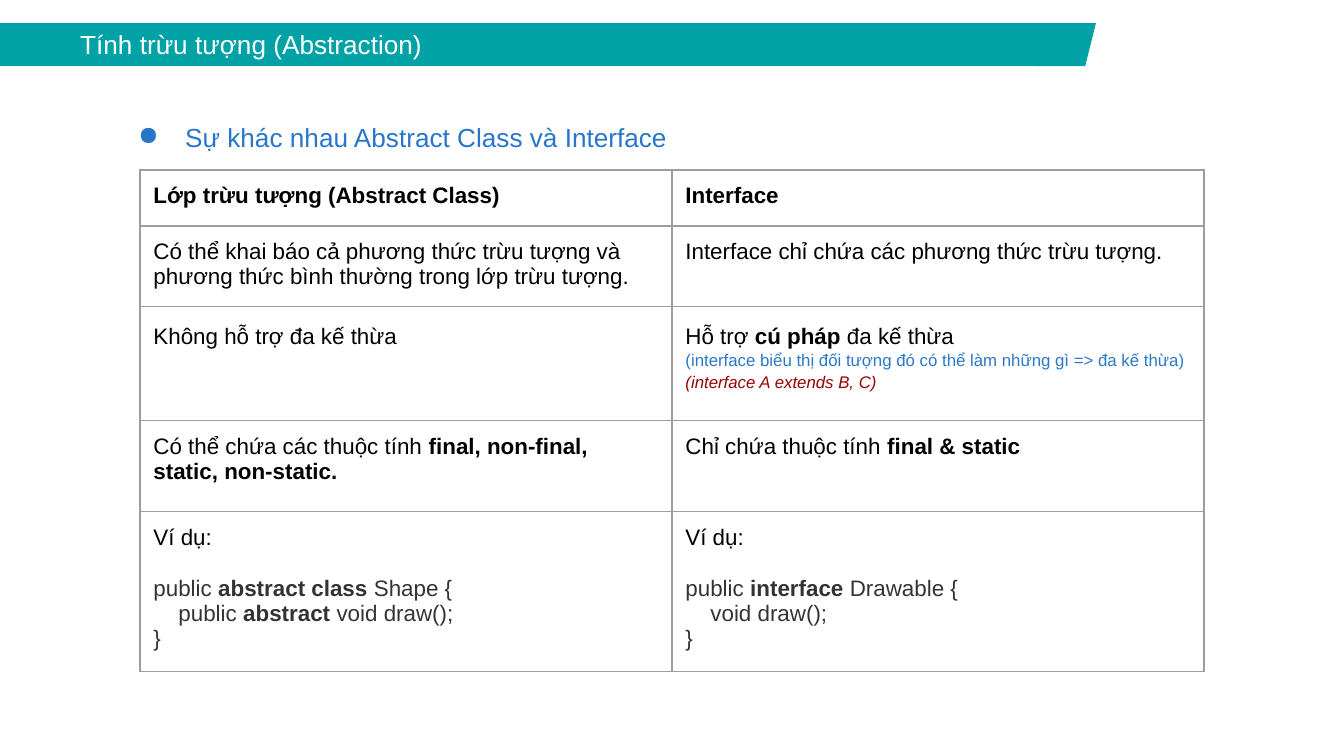
from lxml.etree import SubElement
from pptx import Presentation
from pptx.dml.color import RGBColor
from pptx.enum.shapes import MSO_SHAPE
from pptx.enum.text import MSO_ANCHOR, PP_ALIGN
from pptx.oxml.ns import qn
from pptx.util import Inches, Pt

TEAL = RGBColor(0x01, 0xA2, 0xA6)
WHITE = RGBColor(0xFF, 0xFF, 0xFF)
BLACK = RGBColor(0x00, 0x00, 0x00)
BLUE = RGBColor(0x28, 0x76, 0xC9)
NOTE_BLUE = RGBColor(0x2A, 0x78, 0xCA)
RED = RGBColor(0x98, 0x00, 0x00)
CODE_GRAY = RGBColor(0x33, 0x33, 0x33)
BORDER = RGBColor(0x9E, 0x9E, 0x9E)

FONT = "Arial"
TITLE = "Tính trừu tượng (Abstraction)"
HEADING = "Sự khác nhau Abstract Class và Interface"

STYLES = {
    "plain": dict(),
    "loose": dict(line=1.15),
    "note": dict(line=1.15, size=9, color=NOTE_BLUE),
    "example": dict(line=1.15, size=9, color=RED, italic=True),
    "code start": dict(color=CODE_GRAY, before=13.8),
    "code": dict(color=CODE_GRAY),
    "code body": dict(color=CODE_GRAY, indent=25),
}

# Each paragraph is a style followed by runs; runs alternate regular and bold.
ROWS = [
    (56, [("plain", "", "Lớp trừu tượng (Abstract Class)")],
         [("plain", "", "Interface")]),
    (77, [("plain", "Có thể khai báo cả phương thức trừu tượng và "
           "phương thức bình thường trong lớp trừu tượng.")],
         [("plain", "Interface chỉ chứa các phương thức trừu tượng.")]),
    (114, [("loose", "Không hỗ trợ đa kế thừa")],
          [("loose", "Hỗ trợ ", "cú pháp", " đa kế thừa"),
           ("note", "(interface biểu thị đối tượng đó có thể làm những gì => đa kế thừa)"),
           ("example", "(interface A extends B, C)")]),
    (91, [("plain", "Có thể chứa các thuộc tính ", "final, non-final, static, non-static.")],
         [("plain", "Chỉ chứa thuộc tính ", "final & static")]),
    (152, [("plain", "Ví dụ:"),
           ("code start", "public ", "abstract class ", "Shape {"),
           ("code body", "public ", "abstract ", "void draw();"),
           ("code", "}")],
          [("plain", "Ví dụ:"),
           ("code start", "public ", "interface ", "Drawable {"),
           ("code body", "void draw();"),
           ("code", "}")]),
]


def px(value):
    return round(value * 914400 / 134.4)


def add_run(para, text, size, color, bold=False, italic=False):
    span = para.add_run()
    span.text = text
    font = span.font
    font.name, font.size, font.bold, font.italic = FONT, Pt(size), bold, italic
    font.color.rgb = color


def set_margins(target):
    target.margin_left = target.margin_right = Inches(0.1)
    target.margin_top = target.margin_bottom = Inches(0.1)


def set_indent(para, left, first):
    properties = para._p.get_or_add_pPr()
    properties.set("marL", str(px(left)))
    properties.set("indent", str(px(first)))
    return properties


def add_band(page, kind, left, width):
    band = page.shapes.add_shape(kind, px(left), px(23), px(width), px(43))
    band.shadow.inherit = False
    band.fill.solid()
    band.fill.fore_color.rgb = TEAL
    band.line.fill.background()
    return band


def fill_cell(cell, paragraphs):
    set_margins(cell)
    frame = cell.text_frame
    for index, (style_name, *runs) in enumerate(paragraphs):
        style = STYLES[style_name]
        para = frame.add_paragraph() if index else frame.paragraphs[0]
        para.line_spacing = style.get("line", 1.0)
        para.space_before = Pt(style.get("before", 0))
        set_indent(para, style.get("indent", 0), 0)
        for position, text in enumerate(runs):
            if text:
                add_run(para, text, style.get("size", 12), style.get("color", BLACK),
                        position % 2 == 1, style.get("italic", False))
    properties = cell._tc.get_or_add_tcPr()
    for side in ("a:lnL", "a:lnR", "a:lnT", "a:lnB"):
        line = SubElement(properties, qn(side), w=str(Pt(0.75)))
        solid = SubElement(line, qn("a:solidFill"))
        SubElement(solid, qn("a:srgbClr"), val=str(BORDER))
    cell.fill.background()


deck = Presentation()
deck.slide_width, deck.slide_height = px(1344), px(756)
page = deck.slides.add_slide(deck.slide_layouts[6])

title = add_band(page, MSO_SHAPE.RECTANGLE, 0, 1051)
set_margins(title.text_frame)
title.text_frame.vertical_anchor = MSO_ANCHOR.MIDDLE
title_para = title.text_frame.paragraphs[0]
title_para.alignment = PP_ALIGN.LEFT
set_indent(title_para, 0, 67)
add_run(title_para, TITLE, 14, WHITE)
band_end = add_band(page, MSO_SHAPE.PARALLELOGRAM, 1035, 61)
band_end.adjustments[0] = 0.25

heading = page.shapes.add_textbox(px(105), px(77), px(1019), px(86))
heading.text_frame.word_wrap = True
set_margins(heading.text_frame)
heading_para = heading.text_frame.paragraphs[0]
heading_para.line_spacing = 2.0
heading_para.space_before = Pt(10)
bullet = set_indent(heading_para, 67, -47)
bullet_color = SubElement(bullet, qn("a:buClr"))
SubElement(bullet_color, qn("a:srgbClr"), val=str(BLUE))
SubElement(bullet, qn("a:buChar"), char="●")
add_run(heading_para, HEADING, 14, BLUE)

total = sum(height for height, *_ in ROWS)
table = page.shapes.add_table(len(ROWS), 2, px(140), px(170), px(1064), px(total)).table
table.first_row = table.horz_banding = False
for column in table.columns:
    column.width = px(532)
for row, (height, *cells) in zip(table.rows, ROWS):
    row.height = px(height)
    for cell, paragraphs in zip(row.cells, cells):
        fill_cell(cell, paragraphs)

deck.save("out.pptx")
